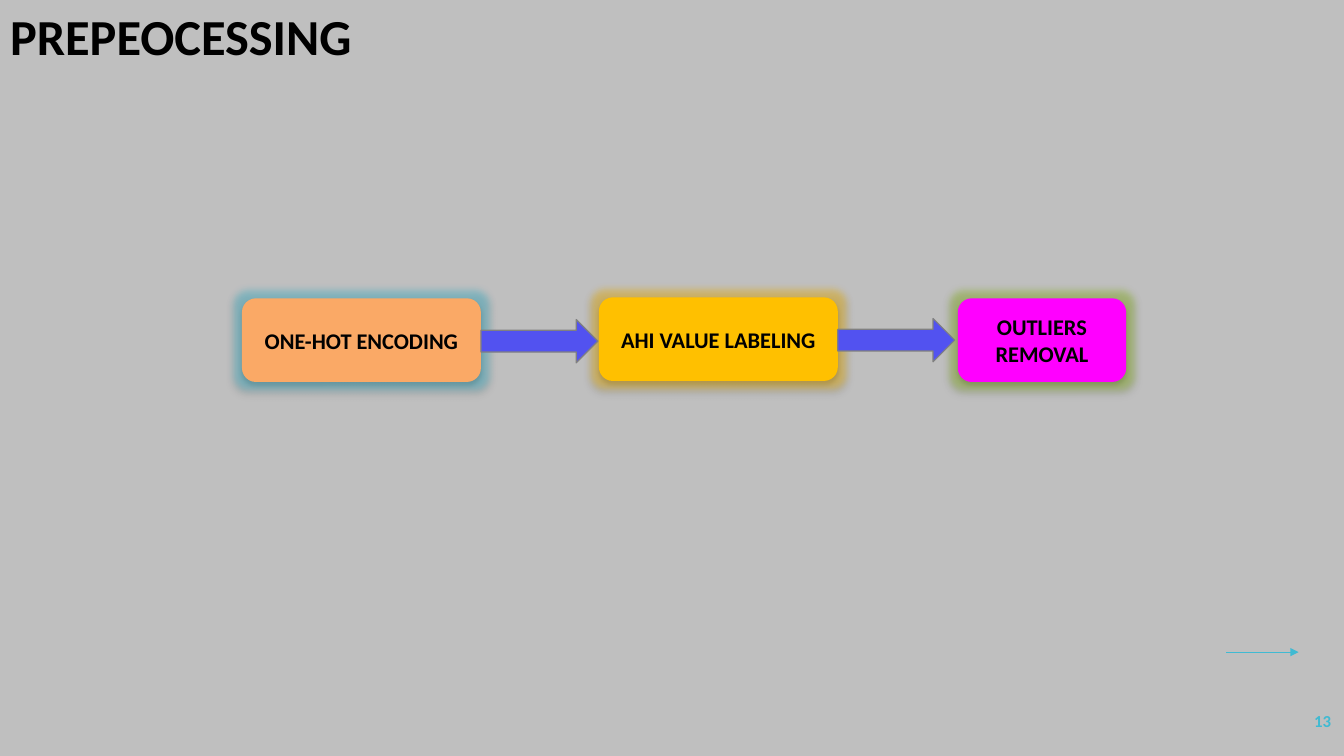
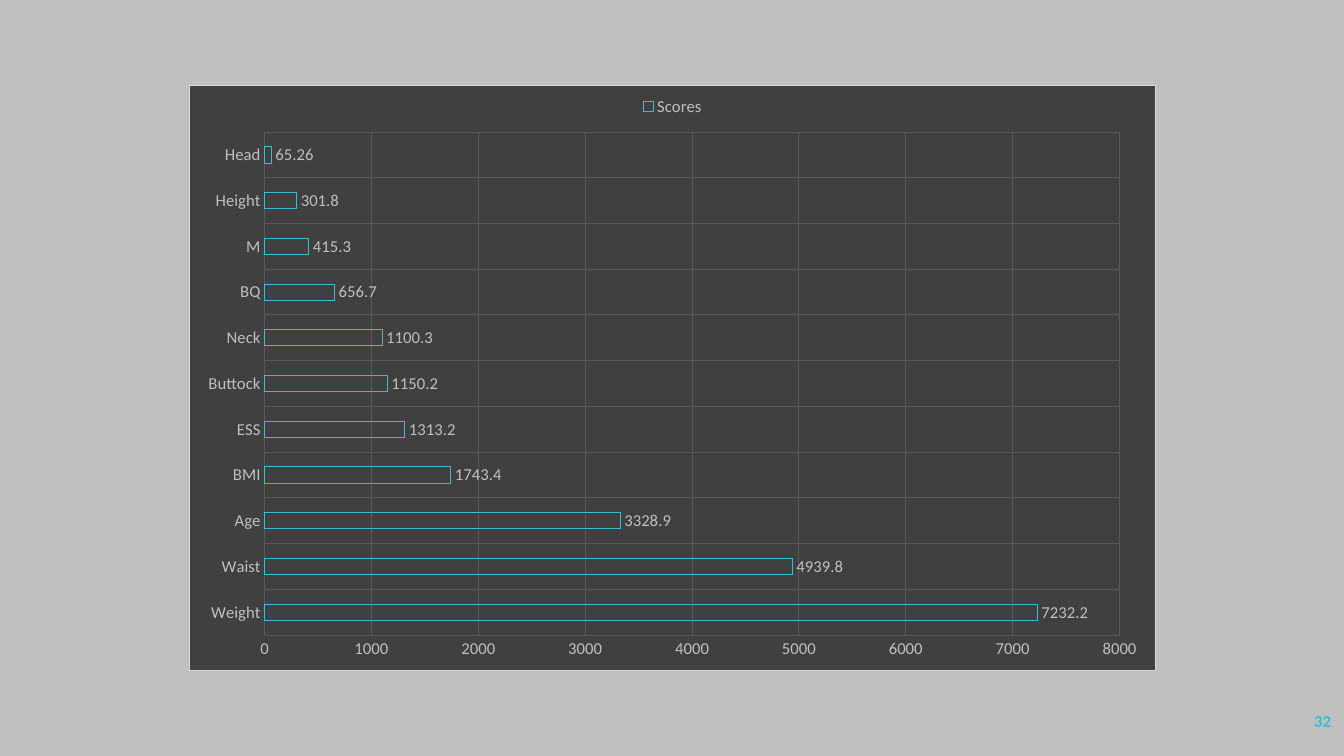
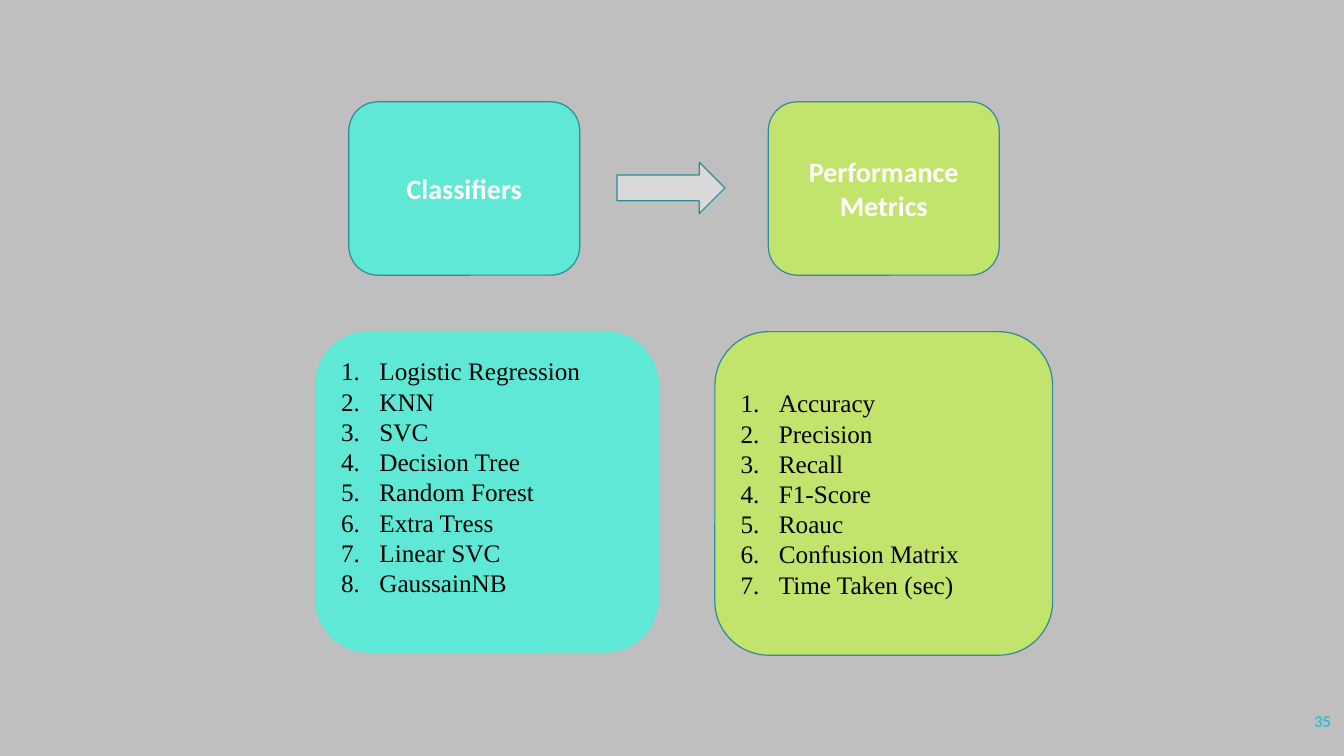
from lxml.etree import SubElement
from pptx import Presentation
from pptx.chart.data import CategoryChartData
from pptx.dml.color import RGBColor
from pptx.enum.chart import XL_CHART_TYPE, XL_LABEL_POSITION, XL_LEGEND_POSITION, XL_TICK_MARK
from pptx.enum.shapes import MSO_CONNECTOR, MSO_SHAPE
from pptx.enum.text import MSO_ANCHOR, MSO_AUTO_SIZE, PP_ALIGN
from pptx.oxml import parse_xml
from pptx.oxml.ns import nsdecls, qn
from pptx.util import Emu, Pt

PX = 9144  # EMU in one px, 100 px to the inch
TITLE_ONLY, BLANK = 5, 6

BACKGROUND, BLACK, WHITE = "BFBFBF", "000000", "FFFFFF"
ACCENT, OUTLINE = "40BAD2", "2F8A9B"
TURQUOISE, LIME = "5FE8D6", "C2E46D"
CHART_FILL, CHART_GRID, CHART_BORDER = "404040", "595959", "D9D9D9"
SANS, SERIF = "Calibri", "Times New Roman"


def px(*lengths):
    return [Emu(length * PX) for length in lengths]


def color(code):
    return RGBColor.from_string(code)


def style_font(font, size, code, bold=False, name=SANS):
    font.name, font.size, font.bold = name, Pt(size), bold
    font.color.rgb = color(code)


def style_line(line, code, width):
    line.color.rgb = color(code)
    line.width = Pt(width)


class Builder:
    """Holds the shared style and the current slide."""

    def __init__(self):
        self.deck = Presentation()
        self.deck.slide_width, self.deck.slide_height = px(1333, 750)
        fill = self.deck.slide_master.background.fill
        fill.solid()
        fill.fore_color.rgb = color(BACKGROUND)

    def page(self, number, title=None):
        layout = self.deck.slide_layouts[TITLE_ONLY if title else BLANK]
        self.slide = self.deck.slides.add_slide(layout)
        if title:
            self.title(title)
        box = self.slide.shapes.add_textbox(*px(1163, 695, 167, 40))
        box.text_frame.word_wrap = True
        box.text_frame.vertical_anchor = MSO_ANCHOR.MIDDLE
        self.add_lines(box.text_frame, [str(number)], 12, ACCENT, True, align=PP_ALIGN.RIGHT)

    def title(self, text):
        box = self.slide.shapes.title
        box.left, box.top, box.width, box.height = px(0, 0, 667, 71)
        frame = box.text_frame
        frame.auto_size = MSO_AUTO_SIZE.NONE
        frame.vertical_anchor = MSO_ANCHOR.TOP
        self.add_lines(frame, [text], 36, BLACK, True)

    def add_lines(self, frame, lines, size, code, bold=False, name=SANS,
                  align=PP_ALIGN.LEFT, numbered=False):
        for index, line in enumerate(lines):
            para = frame.add_paragraph() if index else frame.paragraphs[0]
            para.alignment = align
            if numbered:
                properties = para._p.get_or_add_pPr()
                indent = 38 * PX
                properties.set("marL", str(indent))
                properties.set("indent", str(-indent))
                SubElement(properties, qn("a:buAutoNum"), type="arabicPeriod")
            span = para.add_run()
            span.text = line
            style_font(span.font, size, code, bold, name)

    def shape(self, kind, place, fill, line=None):
        shape = self.slide.shapes.add_shape(kind, *px(*place))
        shape.shadow.inherit = False
        shape.fill.solid()
        shape.fill.fore_color.rgb = color(fill)
        if line:
            style_line(shape.line, line, 0.85)
        else:
            shape.line.fill.background()
        return shape

    def card(self, place, fill, text, size, code, line=None):
        card = self.shape(MSO_SHAPE.ROUNDED_RECTANGLE, place, fill, line)
        card.text_frame.word_wrap = True
        card.text_frame.vertical_anchor = MSO_ANCHOR.MIDDLE
        self.add_lines(card.text_frame, [text], size, code, True, align=PP_ALIGN.CENTER)
        return card

    def glow(self, shape, code):
        effects = shape._element.spPr.find(qn("a:effectLst"))
        glow = SubElement(effects, qn("a:glow"), rad=str(Pt(11)))
        shadow = SubElement(effects, qn("a:outerShdw"), blurRad=str(Pt(3.5)),
                            dist=str(Pt(2.2)), dir="5400000", rotWithShape="0")
        for effect, tint, alpha in ((glow, code, 40000), (shadow, BLACK, 32000)):
            paint = SubElement(effect, qn("a:srgbClr"), val=tint)
            SubElement(paint, qn("a:alpha"), val=str(alpha))

    def numbered_card(self, place, fill, line, items, bottom_inset):
        card = self.shape(MSO_SHAPE.ROUNDED_RECTANGLE, place, fill, line)
        frame = card.text_frame
        frame.word_wrap = True
        frame.vertical_anchor = MSO_ANCHOR.MIDDLE
        frame.margin_bottom = px(bottom_inset)[0]
        self.add_lines(frame, items, 18, BLACK, name=SERIF, numbered=True)

    def arrow_line(self, *ends):
        arrow = self.slide.shapes.add_connector(MSO_CONNECTOR.STRAIGHT, *px(*ends))
        style_line(arrow.line, ACCENT, 0.75)
        SubElement(arrow.line._get_or_add_ln(), qn("a:tailEnd"), type="triangle")
        SubElement(arrow._element.spPr, qn("a:effectLst"))

    def bar_chart(self, place, name, scores):
        data = CategoryChartData()
        data.categories = list(scores)
        data.add_series(name, list(scores.values()))
        chart = self.slide.shapes.add_chart(
            XL_CHART_TYPE.BAR_CLUSTERED, *px(*place), data).chart
        style_font(chart.font, 11.9, BACKGROUND)
        chart.has_title = False
        chart.has_legend = True
        chart.legend.position = XL_LEGEND_POSITION.TOP
        chart.legend.include_in_layout = False
        style_font(chart.legend.font, 11.9, BACKGROUND)

        # Axes
        for axis in (chart.category_axis, chart.value_axis):
            axis.major_tick_mark = axis.minor_tick_mark = XL_TICK_MARK.NONE
            axis.has_major_gridlines = True
            style_line(axis.major_gridlines.format.line, CHART_GRID, 0.75)
            axis.format.line.fill.background()
            style_font(axis.tick_labels.font, 11.9, BACKGROUND)
        chart.value_axis.minimum_scale = 0
        chart.value_axis.maximum_scale = 8000
        chart.value_axis.major_unit = 1000

        # Bars and labels
        plot = chart.plots[0]
        plot.gap_width, plot.overlap = 182, -50
        plot.vary_by_categories = False
        bars = plot.series[0]
        bars.format.fill.background()
        style_line(bars.format.line, ACCENT, 0.75)
        labels = bars.data_labels
        labels.show_value = True
        labels.position = XL_LABEL_POSITION.OUTSIDE_END
        style_font(labels.font, 11.9, BACKGROUND)

        # Chart area
        area = parse_xml(
            f'<c:spPr {nsdecls("c", "a")}>'
            f'<a:solidFill><a:srgbClr val="{CHART_FILL}"/></a:solidFill>'
            f'<a:ln w="{Pt(0.75)}"><a:solidFill><a:srgbClr val="{CHART_BORDER}"/>'
            '</a:solidFill></a:ln></c:spPr>')
        chart._chartSpace.find(qn("c:chart")).addnext(area)


def preprocessing_page(builder):
    builder.page(13, "PREPEOCESSING")
    steps = [
        ("ONE-HOT ENCODING", 240, 296, 237, "FAA966", ACCENT),
        ("AHI VALUE LABELING", 594, 295, 237, "FFC000", "FAB900"),
        ("OUTLIERS REMOVAL", 950, 296, 167, "FF00FF", "90BB23"),
    ]
    for text, left, top, width, fill, halo in steps:
        card = builder.card((left, top, width, 83), fill, text, 16, BLACK)
        builder.glow(card, halo)
    for _, left, top, width, _, _ in steps[:-1]:
        builder.shape(MSO_SHAPE.RIGHT_ARROW, (left + width, top + 21, 116, 43),
                      "5252F0", "808080")
    builder.arrow_line(1216, 647, 1288, 647)


def scores_page(builder):
    builder.page(32)
    builder.bar_chart((187, 84, 960, 582), "Scores", {
        "Weight": 7232.2, "Waist": 4939.8, "Age": 3328.9, "BMI": 1743.4,
        "ESS": 1313.2, "Buttock": 1150.2, "Neck": 1100.3, "BQ": 656.7,
        "M": 415.3, "Height": 301.8, "Head": 65.26,
    })


def classifiers_page(builder):
    builder.page(35)
    for text, left, fill in (("Classifiers", 346, TURQUOISE),
                             ("Performance Metrics", 762, LIME)):
        builder.card((left, 101, 229, 172), fill, text, 20, WHITE, OUTLINE)
    builder.shape(MSO_SHAPE.RIGHT_ARROW, (612, 161, 107, 51), "D9D9D9", OUTLINE)
    builder.numbered_card(
        (313, 329, 340, 318), TURQUOISE, TURQUOISE,
        ["Logistic Regression", "KNN", "SVC", "Decision Tree", "Random Forest",
         "Extra Tress", "Linear SVC", "GaussainNB"], 35)
    builder.numbered_card(
        (709, 329, 335, 321), LIME, OUTLINE,
        ["Accuracy", "Precision", "Recall", "F1-Score", "Roauc",
         "Confusion Matrix", "Time Taken (sec)"], 5)


def main():
    builder = Builder()
    preprocessing_page(builder)
    scores_page(builder)
    classifiers_page(builder)
    builder.deck.save("out.pptx")


if __name__ == "__main__":
    main()
